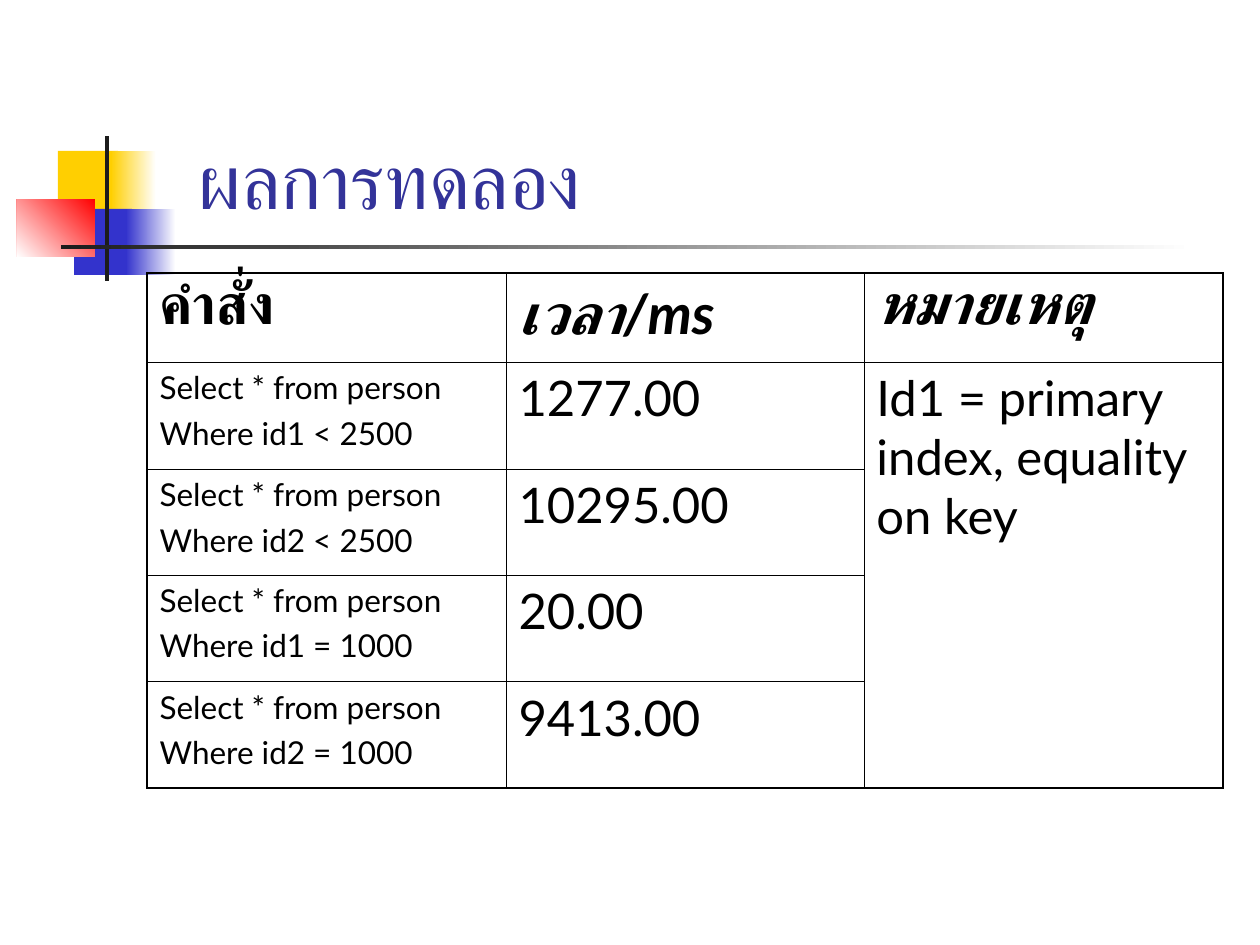
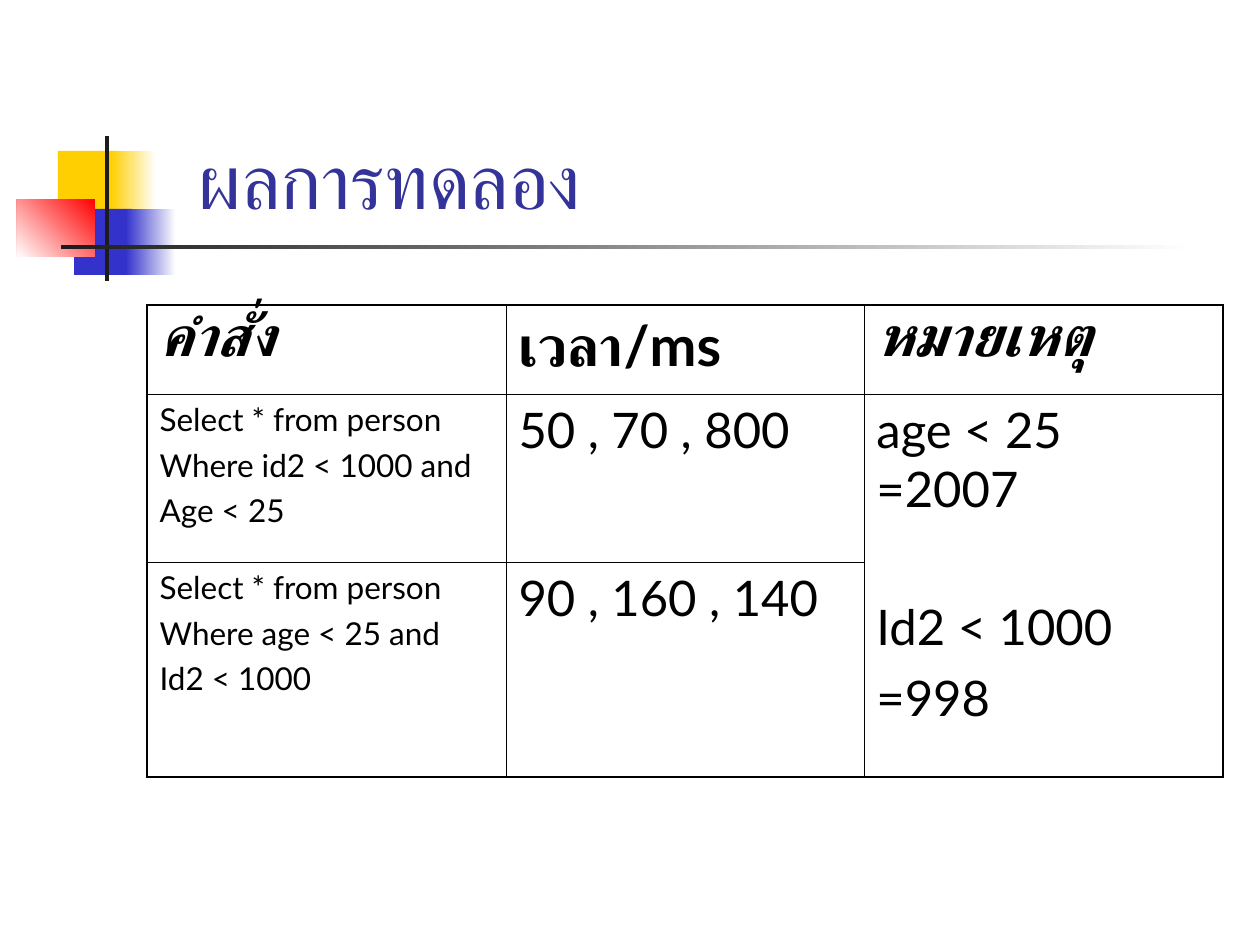
from lxml import etree
from pptx import Presentation
from pptx.dml.color import RGBColor
from pptx.enum.shapes import MSO_SHAPE
from pptx.enum.text import MSO_ANCHOR
from pptx.oxml.ns import qn
from pptx.util import Pt

RECTANGLE = MSO_SHAPE.RECTANGLE
BOTTOM = MSO_ANCHOR.BOTTOM

EMU_PER_PX = 914400 / 126
FONT = "Lato"
COLORS = {
    "white": "FFFFFF",
    "yellow": "FFCF01",
    "blue": "3333CC",
    "red": "FF0000",
    "dark": "1C1C1C",
    "title": "333399",
    "text": "000000",
}
OUTER_LINE, INNER_LINE = 1.08, 0.45
TITLE = "ผลการทดลอง"
HEADERS = ["คำสั่ง", "เวลา/ms", "หมายเหตุ"]
COLUMN_WIDTHS = [359, 358, 359]
TABLE_LEFT = 147
QUERY_STYLE = {"size": 18, "space": 4.5}
VALUE_STYLE = {"size": 28, "space": 7}
GROUP_GAP = 45

RESULTS = [
    {
        "top": 273,
        "heights": [89, 107, 106, 107, 106],
        "italic_headers": [False, True, True],
        "rows": [
            (["Select * from person", "Where id1 < 2500"], "1277.00"),
            (["Select * from person", "Where id2 < 2500"], "10295.00"),
            (["Select * from person", "Where id1 = 1000"], "20.00"),
            (["Select * from person", "Where id2 = 1000"], "9413.00"),
        ],
        "remark_groups": [["Id1 = primary index, equality on key"]],
    },
    {
        "top": 305,
        "heights": [89, 168, 215],
        "italic_headers": [True, False, True],
        "rows": [
            (["Select * from person", "Where id2 < 1000 and", "Age < 25"], "50 , 70 , 800"),
            (["Select * from person", "Where age < 25 and", "Id2 < 1000"], "90 , 160 , 140"),
        ],
        "remark_groups": [["age < 25 =2007"], ["Id2 < 1000", "=998"]],
    },
]


def px(length):
    return round(length * EMU_PER_PX)


def color(name):
    return RGBColor.from_string(COLORS[name])


def add_rectangle(slide, box, start, end=None, angle=180):
    shape = slide.shapes.add_shape(RECTANGLE, *map(px, box))
    shape.shadow.inherit = False
    shape.line.fill.background()
    if end is None:
        shape.fill.solid()
        shape.fill.fore_color.rgb = color(start)
        return
    shape.fill.gradient()
    shape.fill.gradient_angle = angle
    for stop, name in zip(shape.fill.gradient_stops, (start, end)):
        stop.color.rgb = color(name)


def add_ornament(slide):
    add_rectangle(slide, (58, 151, 60, 66), "yellow")
    add_rectangle(slide, (111, 151, 45, 66), "white", "yellow")
    add_rectangle(slide, (74, 209, 58, 66), "blue")
    add_rectangle(slide, (126, 209, 50, 66), "white", "blue")
    add_rectangle(slide, (17, 199, 78, 58), "red", "white", angle=225)
    add_rectangle(slide, (105, 136, 4, 145), "dark")
    add_rectangle(slide, (61, 245, 1133, 4), "white", "dark")


def write_lines(text_frame, lines, size, space=0, text_color="text", bold=False, italic=False):
    text_frame.text = "\n".join(lines)
    for index, paragraph in enumerate(text_frame.paragraphs):
        if index:
            paragraph.space_before = Pt(space)
        for run in paragraph.runs:
            run.font.name = FONT
            run.font.size = Pt(size)
            run.font.bold = bold
            run.font.italic = italic
            run.font.color.rgb = color(text_color)


def add_title(slide):
    text_frame = slide.shapes.add_textbox(px(186), px(29), px(1074), px(202)).text_frame
    text_frame.word_wrap = True
    text_frame.vertical_anchor = BOTTOM
    write_lines(text_frame, [TITLE], 44, text_color="title")


def add_border(cell, side, width):
    properties = cell._tc.get_or_add_tcPr()
    line = etree.SubElement(properties, qn(f"a:{side}"), w=str(Pt(width)))
    fill = etree.SubElement(line, qn("a:solidFill"))
    etree.SubElement(fill, qn("a:srgbClr"), val=COLORS["text"])


def style_cell(cell, row, column, row_count, column_count):
    outer_sides = {
        "lnL": column == 0,
        "lnR": column == column_count - 1,
        "lnT": row == 0,
        "lnB": row + cell.span_height == row_count,
    }
    for side, is_outer in outer_sides.items():
        if cell.is_spanned and side in ("lnT", "lnB"):
            continue
        add_border(cell, side, OUTER_LINE if is_outer else INNER_LINE)
    cell.fill.background()


def write_remarks(cell, groups):
    lines = [line for group in groups for line in group]
    write_lines(cell.text_frame, lines, **VALUE_STYLE)
    start = 0
    for group in groups[:-1]:
        start += len(group)
        cell.text_frame.paragraphs[start].space_before = Pt(GROUP_GAP)


def add_result_table(slide, result):
    heights = result["heights"]
    row_count, column_count = len(heights), len(COLUMN_WIDTHS)
    table = slide.shapes.add_table(
        row_count, column_count, px(TABLE_LEFT), px(result["top"]),
        px(sum(COLUMN_WIDTHS)), px(sum(heights)),
    ).table
    table.first_row = table.horz_banding = False
    for table_row, height in zip(table.rows, heights):
        table_row.height = px(height)
    for table_column, width in zip(table.columns, COLUMN_WIDTHS):
        table_column.width = px(width)
    table.cell(1, 2).merge(table.cell(row_count - 1, 2))

    for row in range(row_count):
        for column in range(column_count):
            style_cell(table.cell(row, column), row, column, row_count, column_count)
    for column, (header, italic) in enumerate(zip(HEADERS, result["italic_headers"])):
        write_lines(table.cell(0, column).text_frame, [header], 32, bold=True, italic=italic)
    for row, (query, time) in enumerate(result["rows"], start=1):
        write_lines(table.cell(row, 0).text_frame, query, **QUERY_STYLE)
        write_lines(table.cell(row, 1).text_frame, [time], **VALUE_STYLE)
    write_remarks(table.cell(1, 2), result["remark_groups"])


def main():
    presentation = Presentation()
    presentation.slide_width, presentation.slide_height = px(1260), px(945)
    for result in RESULTS:
        slide = presentation.slides.add_slide(presentation.slide_layouts[6])
        add_ornament(slide)
        add_title(slide)
        add_result_table(slide, result)
    presentation.save("out.pptx")


if __name__ == "__main__":
    main()
